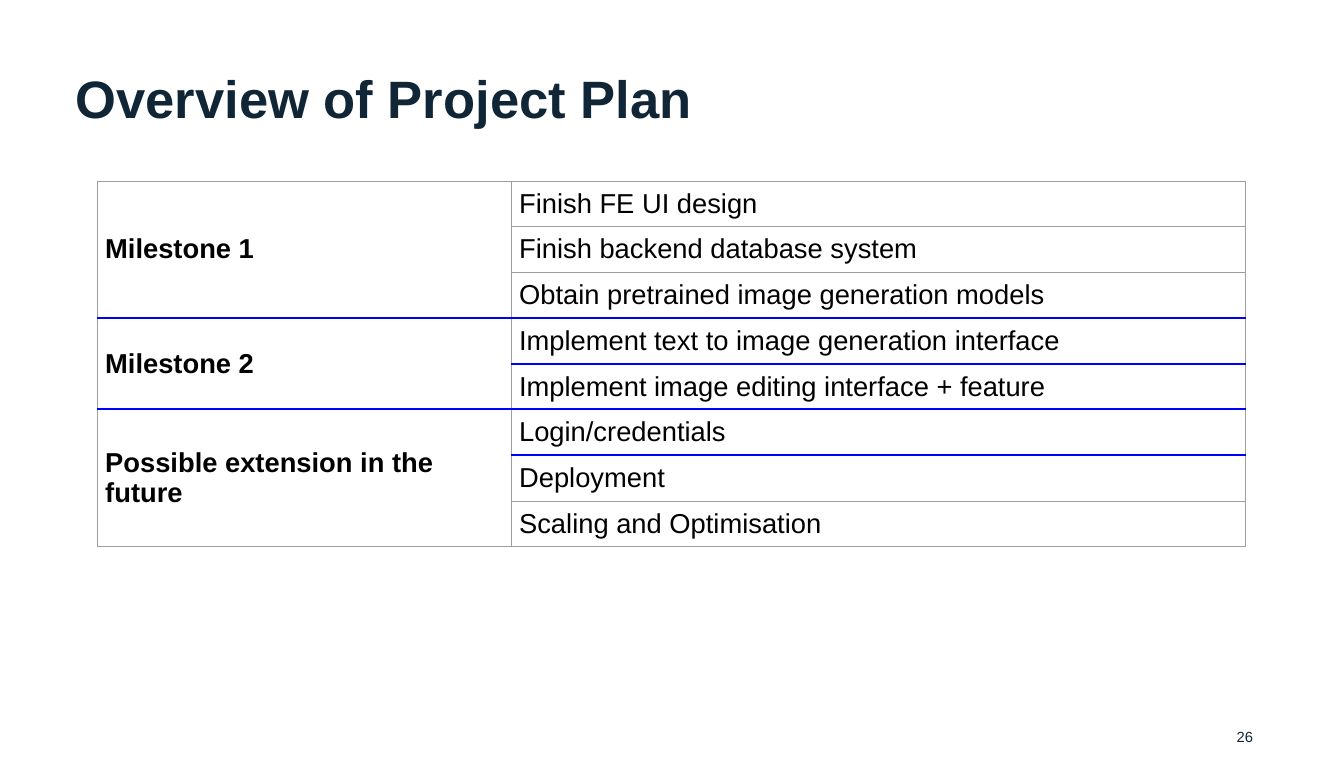
from lxml import etree
from pptx import Presentation
from pptx.dml.color import RGBColor
from pptx.enum.text import MSO_ANCHOR, MSO_AUTO_SIZE, PP_ALIGN
from pptx.oxml.ns import qn
from pptx.util import Pt

LEFT, RIGHT = PP_ALIGN.LEFT, PP_ALIGN.RIGHT
TOP, MIDDLE = MSO_ANCHOR.TOP, MSO_ANCHOR.MIDDLE
NO_FIT = MSO_AUTO_SIZE.NONE

NAVY, BLACK, GREY, BLUE = "102535", "000000", "9E9E9E", "0000FF"
THIN, THICK = (GREY, 0.75), (BLUE, 2.25)

PLAN = [
    ("Milestone 1", ["Finish FE UI design",
                     "Finish backend database system",
                     "Obtain pretrained image generation models"]),
    ("Milestone 2", ["Implement text to image generation interface",
                     "Implement image editing interface + feature"]),
    ("Possible extension in the future", ["Login/credentials",
                                          "Deployment",
                                          "Scaling and Optimisation"]),
]
# Row edges drawn in blue, counted from the top of the table
GROUP_EDGES = {3, 5}
TASK_EDGES = {3, 4, 5, 6}


def color(code):
    return RGBColor.from_string(code)


def write(frame, text, size, code, bold=False, align=LEFT):
    frame.text = text
    para = frame.paragraphs[0]
    para.alignment = align
    font = para.font
    font.name, font.size, font.bold = "Arial", Pt(size), bold
    font.color.rgb = color(code)
    return para


def set_box(shape, box, anchor):
    shape.left, shape.top, shape.width, shape.height = map(Pt, box)
    frame = shape.text_frame
    frame.word_wrap = True
    frame.auto_size = NO_FIT
    frame.vertical_anchor = anchor
    frame.margin_left = frame.margin_right = 0
    frame.margin_top = frame.margin_bottom = 0
    return frame


def add_title(slide, box, text):
    frame = set_box(slide.shapes.title, box, MIDDLE)
    write(frame, text, 50, NAVY, bold=True).line_spacing = 1.2


def add_number(slide, box, text):
    shape = slide.shapes.add_textbox(*map(Pt, box))
    write(set_box(shape, box, TOP), text, 14, NAVY, align=RIGHT)


def set_edges(cell, top, bottom):
    props = cell._tc.get_or_add_tcPr()
    edges = {"a:lnL": THIN, "a:lnR": THIN, "a:lnT": top, "a:lnB": bottom}
    for spot, (tag, (code, width)) in enumerate(edges.items()):
        line = etree.Element(qn(tag), w=str(Pt(width)))
        fill = etree.SubElement(line, qn("a:solidFill"))
        etree.SubElement(fill, qn("a:srgbClr"), val=code)
        props.insert(spot, line)


def fill_cell(cell, text, bold, anchor):
    write(cell.text_frame, text, 26, BLACK, bold)
    cell.vertical_anchor = anchor
    cell.margin_left = cell.margin_right = Pt(7.2)
    cell.margin_top = cell.margin_bottom = Pt(7.2)


def add_plan(slide, box, split):
    left, top, width, height = box
    count = sum(len(tasks) for _, tasks in PLAN)
    table = slide.shapes.add_table(count, 2, *map(Pt, box)).table
    table.first_row = table.horz_banding = False
    table.columns[0].width = Pt(split)
    table.columns[1].width = Pt(width - split)

    # Plain cells with grey edges, blue where listed
    for row in range(count):
        table.rows[row].height = Pt(height / count)
        for col, blue in enumerate((GROUP_EDGES, TASK_EDGES)):
            cell = table.cell(row, col)
            cell.fill.background()
            above, below = (THICK if edge in blue else THIN
                            for edge in (row, row + 1))
            set_edges(cell, above, below)

    # One merged heading beside each group of tasks
    start = 0
    for name, tasks in PLAN:
        last = start + len(tasks) - 1
        head = table.cell(start, 0)
        head.merge(table.cell(last, 0))
        fill_cell(head, name, True, MIDDLE)
        for row, task in enumerate(tasks, start):
            fill_cell(table.cell(row, 1), task, False, TOP)
        start = last + 1


def main():
    deck = Presentation()
    deck.slide_width, deck.slide_height = Pt(1278.72), Pt(720)
    slide = deck.slides.add_slide(deck.slide_layouts[5])
    add_title(slide, (72, 42.5, 1119.6, 87.8), "Overview of Project Plan")
    add_plan(slide, (92.9, 172, 1092.2, 347.6), 393.8)
    add_number(slide, (904.3, 692, 288, 26.6), "26")
    deck.save("out.pptx")


if __name__ == "__main__":
    main()
